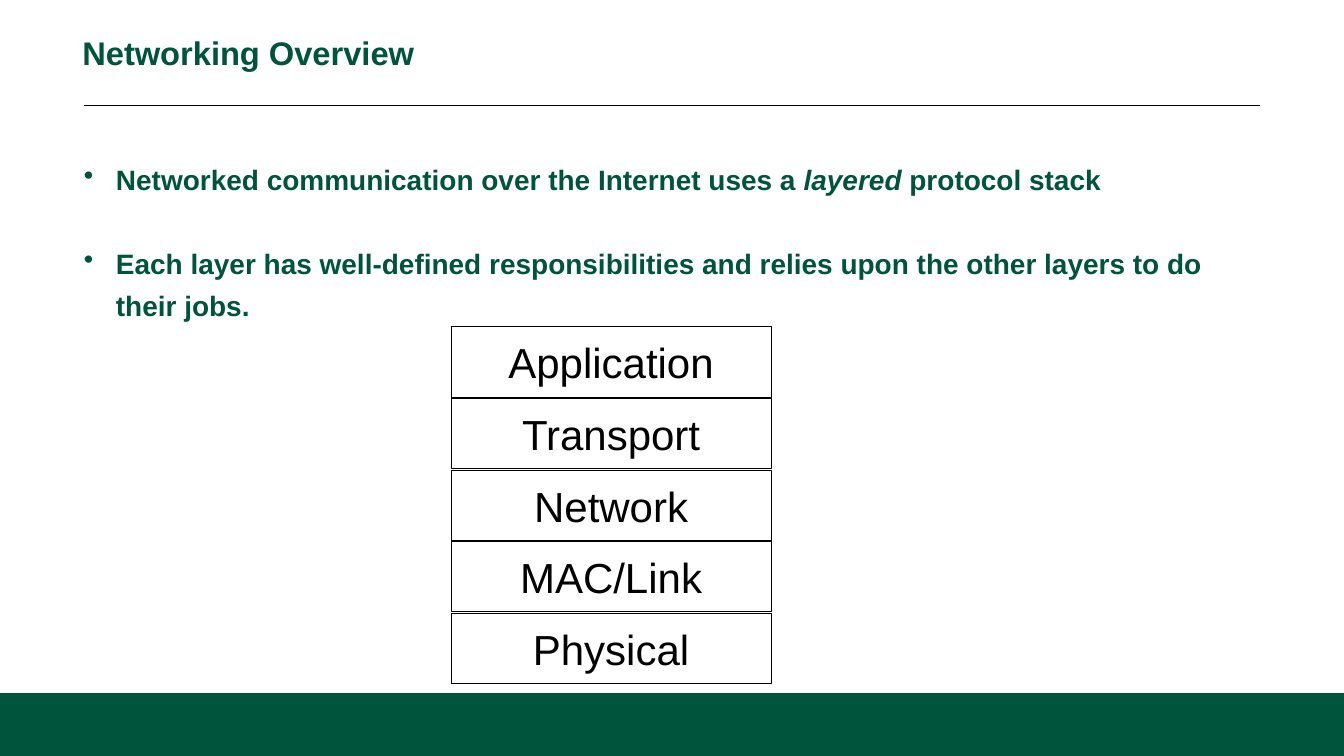
import pptx
import pptx.util
import pptx.dml.color
import pptx.enum.shapes
import pptx.enum.text
import pptx.oxml
import pptx.oxml.ns
from dataclasses import dataclass
from pptx.util import Inches

COLORS = {"green": "00543C", "black": "000000", "white": "FFFFFF"}
FONT = "Arial"
RECT = pptx.enum.shapes.MSO_SHAPE.RECTANGLE
ANCHOR = pptx.enum.text.MSO_ANCHOR
ALIGN = pptx.enum.text.PP_ALIGN


@dataclass
class Layer:
    name: str
    top: float


LAYERS = [
    Layer("Application", 3.89),
    Layer("Transport", 4.74),
    Layer("Network", 5.6),
    Layer("MAC/Link", 6.44),
    Layer("Physical", 7.3),
]

# Each bullet is a list of (text, italic) runs
BULLETS = [
    [("Networked communication over the Internet uses a ", False),
     ("layered", True), (" protocol stack", False)],
    [("Each layer has well-defined responsibilities and relies upon "
      "the other layers to do their jobs.", False)],
]


def color(name: str) -> pptx.dml.color.RGBColor:
    return pptx.dml.color.RGBColor.from_string(COLORS[name])


def write(para, text: str, *, size: float, ink: str = "green",
          bold: bool = False, italic: bool = False, align=ALIGN.LEFT,
          lead: float | None = None) -> None:
    """Add one run to a paragraph and set its format."""
    para.alignment = align
    if lead:
        para.line_spacing = pptx.util.Pt(lead)
    run = para.add_run()
    run.text = text
    font = run.font
    font.name, font.size = FONT, pptx.util.Pt(size)
    font.bold, font.italic = bold, italic
    font.color.rgb = color(ink)


def setup(frame, anchor, inset: float = 0) -> None:
    frame.word_wrap = True
    frame.auto_size = pptx.enum.text.MSO_AUTO_SIZE.NONE
    frame.vertical_anchor = anchor
    frame.margin_left = frame.margin_right = Inches(inset)
    frame.margin_top = frame.margin_bottom = Inches(inset)


def box(slide, left: float, top: float, width: float, height: float,
        fill: str, line: str | None = None):
    shape = slide.shapes.add_shape(
        RECT, Inches(left), Inches(top), Inches(width), Inches(height))
    shape.shadow.inherit = False
    shape.fill.solid()
    shape.fill.fore_color.rgb = color(fill)
    if line:
        shape.line.color.rgb = color(line)
        shape.line.width = pptx.util.Pt(1)
    else:
        shape.line.fill.background()
    return shape


def bullet(para, indent: float) -> None:
    props = para._p.get_or_add_pPr()
    props.set("marL", str(Inches(indent)))
    props.set("indent", str(-Inches(indent)))
    mark = pptx.oxml.parse_xml(
        f'<a:buChar {pptx.oxml.ns.nsdecls("a")} char="•"/>')
    props.append(mark)


deck = pptx.Presentation()
deck.slide_width, deck.slide_height = Inches(16), Inches(9)
slide = deck.slides.add_slide(deck.slide_layouts[5])

# Footer band and title rule
box(slide, 0, 8.25, 16, 0.75, "green")
rule = slide.shapes.add_connector(
    pptx.enum.shapes.MSO_CONNECTOR.STRAIGHT,
    Inches(1), Inches(1.25), Inches(15), Inches(1.25))
rule.line.color.rgb = color("black")
rule.line.width = pptx.util.Pt(0.5)
rule._element.spPr.append(pptx.oxml.parse_xml(
    f'<a:effectLst {pptx.oxml.ns.nsdecls("a")}/>'))

# Title
title = slide.shapes.title
title.left, title.top = Inches(0.98), Inches(0.17)
title.width, title.height = Inches(14.02), Inches(0.93)
setup(title.text_frame, ANCHOR.MIDDLE)
write(title.text_frame.paragraphs[0], "Networking Overview",
      size=28, bold=True, lead=32)

# Bullets
body = slide.shapes.add_textbox(
    Inches(1), Inches(1.83), Inches(14), Inches(5.81)).text_frame
setup(body, ANCHOR.TOP)
for i, runs in enumerate(BULLETS):
    para = body.add_paragraph() if i else body.paragraphs[0]
    for text, italic in runs:
        write(para, text, size=24, bold=True, italic=italic, lead=36)
    if i:
        para.space_before = pptx.util.Pt(36)
    bullet(para, 0.38)

# Protocol stack
for layer in LAYERS:
    frame = box(slide, 5.37, layer.top, 3.81, 0.84, "white", "black").text_frame
    setup(frame, ANCHOR.MIDDLE, 0.08)
    write(frame.paragraphs[0], layer.name, size=36, ink="black",
          align=ALIGN.CENTER)

deck.save("out.pptx")
